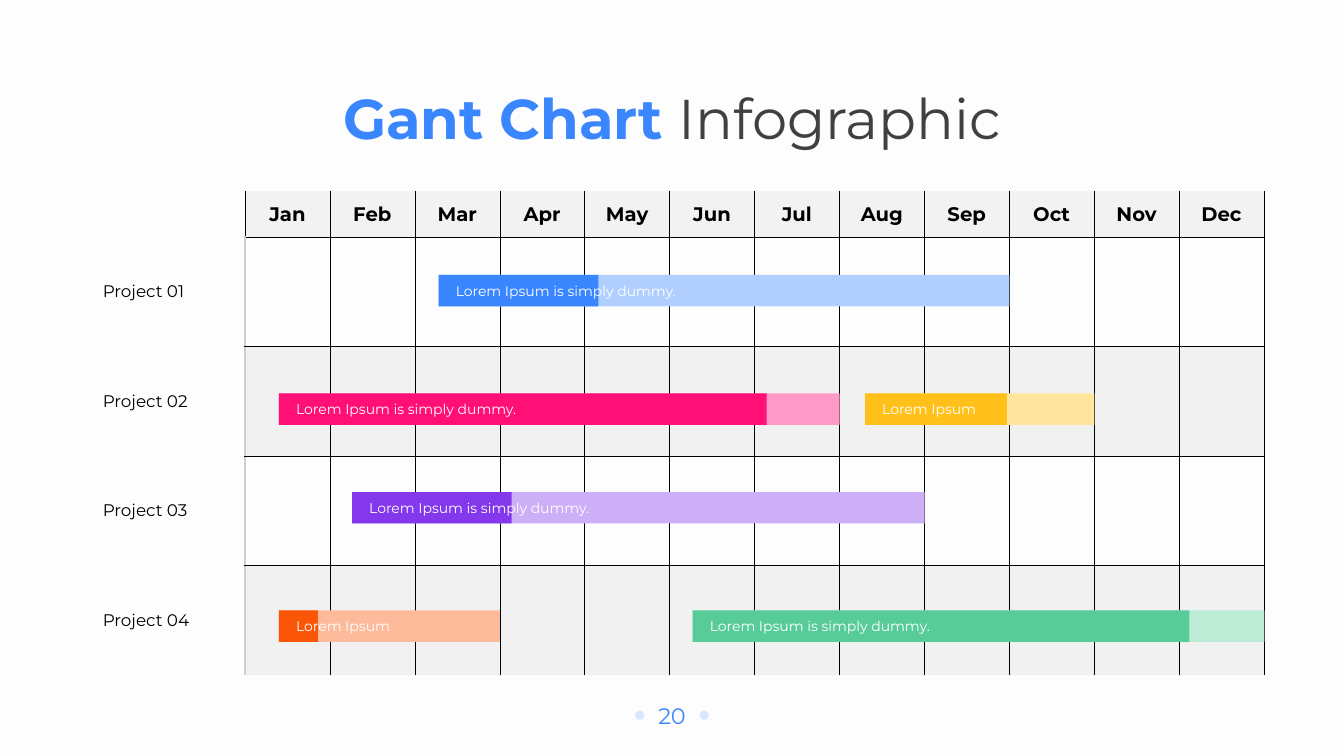
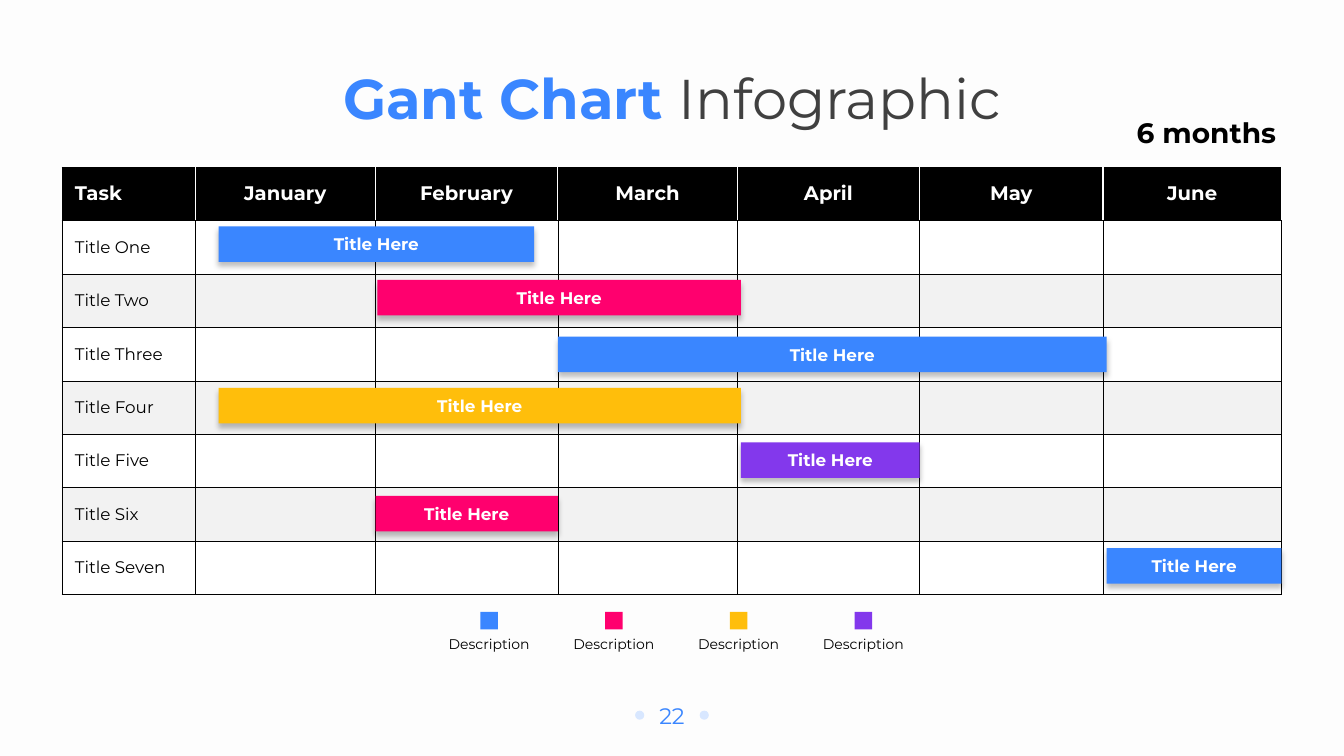
import dataclasses

import lxml.etree
import pptx
import pptx.dml.color
import pptx.enum.shapes
import pptx.enum.text
import pptx.oxml.ns
import pptx.util

qn = pptx.oxml.ns.qn
ALIGN = pptx.enum.text.PP_ALIGN
MIDDLE = pptx.enum.text.MSO_ANCHOR.MIDDLE
RECTANGLE = pptx.enum.shapes.MSO_SHAPE.RECTANGLE
OVAL = pptx.enum.shapes.MSO_SHAPE.OVAL

SLIDE_WIDTH = pptx.util.Inches(13.33)
SLIDE_HEIGHT = pptx.util.Inches(7.5)
PLAIN_TABLE_STYLE = "{2D5ABB26-0587-4C30-8999-92F81FD0307C}"

COLOURS = {
    "page": "FDFDFD", "black": "000000", "white": "FFFFFF", "ink": "404040",
    "band": "F2F2F2", "shade": "E7E6E6", "edge": "D0CECE", "dot": "D8E7FF",
    "blue": "3A86FF", "pink": "FF006E", "yellow": "FFBE0B",
    "purple": "8338EC", "orange": "FB5607", "green": "57CC99",
    "pale blue": "B0CFFF", "pale pink": "FF99C5", "pale yellow": "FFE59D",
    "pale purple": "CDAFF7", "pale orange": "FDBB9C", "pale green": "BCEBD6",
}

# Each style: colour, then font values
STYLES = {
    "title strong": ("blue", {"size": 40, "bold": True}),
    "title light": ("ink", {"size": 40, "bold": False}),
    "page number": ("blue", {"size": 16}),
    "heading": ("black", {"size": 14, "bold": True}),
    "heading on black": ("white", {"size": 14, "bold": True}),
    "row label": ("black", {"size": 12, "bold": False}),
    "progress label": ("white", {"size": 10}),
    "bar label": ("white", {"size": 12, "bold": True}),
    "legend": ("black", {"size": 10}),
    "period": ("black", {"size": 20, "bold": True}),
}

HAIRLINE = ("black", 0.25)
SOFT_EDGE = ("edge", 1)
WHITE_EDGE = ("white", 1)


def across(percent):
    return round(SLIDE_WIDTH * percent / 100)


def down(percent):
    return round(SLIDE_HEIGHT * percent / 100)


def area(left, top, width, height):
    """Turn percentages of the slide into a position and size."""
    return across(left), down(top), across(width), down(height)


@dataclasses.dataclass
class Grid:
    """Columns and rows, in percentages of the slide."""
    left: float
    top: float
    columns: list
    rows: list

    @staticmethod
    def edge(start, sizes, position):
        whole = min(int(position), len(sizes) - 1)
        return start + sum(sizes[:whole]) + sizes[whole] * (position - whole)

    def month(self, position):
        return self.edge(self.left, self.columns, position + 1)

    def task(self, position):
        return self.edge(self.top, self.rows, position + 1)


PROJECT_GRID = Grid(6.15, 25.3, [12.08] + [6.32] * 12, [6] + [14.5] * 4)
TASK_GRID = Grid(4.6, 22.1, [9.92, 13.42, 13.57, 13.35, 13.57, 13.65, 13.27],
                 [7.07] * 8)

# Start, end and finished length in months; top in rows
PROJECT_BARS = [
    (2.28, 9, 1.88, 0.35, "blue", 100, "Lorem Ipsum is simply dummy."),
    (0.4, 3, 0.46, 3.41, "orange", 100, "Lorem Ipsum"),
    (0.4, 7, 5.74, 1.43, "pink", 90, "Lorem Ipsum is simply dummy."),
    (1.26, 8, 1.88, 2.33, "purple", 100, "Lorem Ipsum is simply dummy."),
    (5.27, 12, 5.85, 3.41, "green", 100, "Lorem Ipsum is simply dummy."),
    (7.3, 10, 1.67, 1.43, "yellow", 90, "Lorem Ipsum"),
]
TASK_BARS = [
    (0.13, 1.87, 0.11, "blue"), (1.01, 3.02, 1.11, "pink"),
    (2, 5.02, 2.17, "blue"), (0.13, 3.02, 3.13, "yellow"),
    (3.02, 4, 4.15, "purple"), (1, 2, 5.15, "pink"),
    (5.02, 6, 6.13, "blue"),
]


def rgb(colour):
    return pptx.dml.color.RGBColor.from_string(COLOURS[colour])


def paint(fill, colour, opacity=100):
    fill.solid()
    fill.fore_color.rgb = rgb(colour)
    if opacity < 100:
        tint = fill._xPr.find(f"{qn('a:solidFill')}/{qn('a:srgbClr')}")
        lxml.etree.SubElement(tint, qn("a:alpha"), val=str(opacity * 1000))


def write(frame, runs, align=ALIGN.LEFT):
    """Fill a text frame with one paragraph of (text, style) runs."""
    paragraph = frame.paragraphs[0]
    paragraph.alignment = align
    for text, style in runs:
        run = paragraph.add_run()
        run.text = text
        colour, values = STYLES[style]
        run.font.name = "Montserrat"
        run.font.color.rgb = rgb(colour)
        for name, value in values.items():
            setattr(run.font, name,
                    pptx.util.Pt(value) if name == "size" else value)


def set_margins(target, left, top, right, bottom):
    margins = {"left": left, "top": top, "right": right, "bottom": bottom}
    for side, inches in margins.items():
        setattr(target, f"margin_{side}", pptx.util.Inches(inches))


def add_text(shapes, place, runs, align=ALIGN.CENTER,
             margins=(0.1, 0.05, 0.1, 0.05), wrap=True):
    frame = shapes.add_textbox(*place).text_frame
    frame.word_wrap = wrap
    frame.vertical_anchor = MIDDLE
    set_margins(frame, *margins)
    write(frame, runs, align)


def add_block(shapes, place, colour, opacity=100, outline=RECTANGLE):
    block = shapes.add_shape(outline, *place)
    block.shadow.inherit = False
    block.line.fill.background()
    paint(block.fill, colour, opacity)
    return block


def drop_shadow(block):
    effects = block._element.spPr.find(qn("a:effectLst"))
    shadow = lxml.etree.SubElement(
        effects, qn("a:outerShdw"), blurRad=str(pptx.util.Pt(4)),
        dist=str(pptx.util.Pt(3)), dir="5400000", algn="t", rotWithShape="0")
    tint = lxml.etree.SubElement(shadow, qn("a:srgbClr"),
                                 val=COLOURS["black"])
    lxml.etree.SubElement(tint, qn("a:alpha"), val="25000")


def set_borders(cell, **borders):
    """Draw the sides L, R, T, B given as (colour, points); clear the rest."""
    properties = cell._tc.get_or_add_tcPr()
    for index, side in enumerate("LRTB"):
        line = lxml.etree.Element(qn(f"a:ln{side}"))
        properties.insert(index, line)
        if side in borders:
            colour, points = borders[side]
            line.set("w", str(pptx.util.Pt(points)))
            solid = lxml.etree.SubElement(line, qn("a:solidFill"))
            lxml.etree.SubElement(solid, qn("a:srgbClr"), val=COLOURS[colour])
        else:
            line.set("w", "0")
            lxml.etree.SubElement(line, qn("a:noFill"))


def add_schedule(slide, grid, headings, labels, dress):
    """Add a table; dress(cell, row, column) sets its fills and borders."""
    frame = slide.shapes.add_table(
        len(grid.rows), len(grid.columns),
        *area(grid.left, grid.top, sum(grid.columns), sum(grid.rows)))
    table = frame.table
    table.first_row = table.horz_banding = False
    table._tbl.tblPr.find(qn("a:tableStyleId")).text = PLAIN_TABLE_STYLE
    for column, width in zip(table.columns, grid.columns):
        column.width = across(width)
    for row, height in zip(table.rows, grid.rows):
        row.height = down(height)
    for row in range(len(grid.rows)):
        for column in range(len(grid.columns)):
            cell = table.cell(row, column)
            cell.vertical_anchor = MIDDLE
            heading_style = dress(cell, row, column)
            if row == 0 and headings[column]:
                write(cell.text_frame, [(headings[column], heading_style)],
                      ALIGN.CENTER if column else ALIGN.LEFT)
            elif row and column == 0:
                write(cell.text_frame, [(labels[row - 1], "row label")])


def dress_project_cell(cell, row, column):
    set_margins(cell, 0.05 if column else 0.2, 0.03, 0.05, 0.03)
    side = SOFT_EDGE if row else HAIRLINE
    if column == 0:
        set_borders(cell, R=side)
    else:
        borders = {"L": side if column == 1 else HAIRLINE, "R": HAIRLINE}
        if row:
            borders["T"] = HAIRLINE
        if row < len(PROJECT_GRID.rows) - 1:
            borders["B"] = HAIRLINE
        set_borders(cell, **borders)
    if row == 0 and column:
        paint(cell.fill, "band")
    elif row and row % 2 == 0:
        paint(cell.fill, "shade" if column else "white", 50)
    else:
        cell.fill.background()
    return "heading"


def dress_task_cell(cell, row, column):
    set_margins(cell, 0.13, 0.06, 0.13, 0.06)
    if row:
        set_borders(cell, **dict.fromkeys("LRTB", HAIRLINE))
        paint(cell.fill, "white" if row % 2 else "band")
    else:
        set_borders(cell, L=WHITE_EDGE if column else HAIRLINE,
                    R=WHITE_EDGE, T=HAIRLINE, B=HAIRLINE)
        paint(cell.fill, "black")
    return "heading on black"


def add_progress_bar(slide, start, end, done, row, colour, opacity, label):
    bar = slide.shapes.add_group_shape().shapes
    left, top = PROJECT_GRID.month(start), PROJECT_GRID.task(row)
    finish, reached = (PROJECT_GRID.month(m) for m in (end, start + done))
    whole = area(left, top, finish - left, 4.17)
    add_block(bar, whole, f"pale {colour}")
    add_block(bar, area(left, top, reached - left, 4.17), colour, opacity)
    add_text(bar, whole, [(label, "progress label")], ALIGN.LEFT,
             margins=(0.17, 0.02, 0.05, 0.02))


def add_task_bar(slide, start, end, row, colour):
    left = TASK_GRID.month(start)
    place = area(left, TASK_GRID.task(row), TASK_GRID.month(end) - left, 4.7)
    bar = add_block(slide.shapes, place, colour)
    drop_shadow(bar)
    bar.text_frame.vertical_anchor = MIDDLE
    write(bar.text_frame, [("Title Here", "bar label")], ALIGN.CENTER)


def add_legend(slide):
    for index, colour in enumerate(("blue", "pink", "yellow", "purple")):
        centre = 36.4 + 9.28 * index
        add_text(slide.shapes, area(centre - 3.94, 83.33, 7.88, 3.73),
                 [("Description", "legend")], wrap=False)
        add_block(slide.shapes, area(centre - 0.65, 80.93, 1.3, 2.33), colour)


def add_page(deck, number, title_top):
    """Start a slide with its title and page number."""
    slide = deck.slides.add_slide(deck.slide_layouts[6])
    add_text(slide.shapes, area(47.7, 92.13, 4.6, 4.93),
             [(number, "page number")])
    for offset in (-2.4, 2.4):
        add_block(slide.shapes, area(49.66 + offset, 94, 0.68, 1.2), "dot",
                  outline=OVAL)
    add_text(slide.shapes, area(24.4, title_top, 51.2, 10.27),
             [("Gant Chart ", "title strong"), ("Infographic", "title light")])
    return slide


def build_projects(deck):
    slide = add_page(deck, "20", 10.4)
    months = "Jan Feb Mar Apr May Jun Jul Aug Sep Oct Nov Dec".split()
    projects = [f"Project {number:02}" for number in range(1, 5)]
    add_schedule(slide, PROJECT_GRID, [""] + months, projects,
                 dress_project_cell)
    for bar in PROJECT_BARS:
        add_progress_bar(slide, *bar)


def build_tasks(deck):
    slide = add_page(deck, "22", 7.73)
    headings = "Task January February March April May June".split()
    tasks = [f"Title {number}" for number in
             "One Two Three Four Five Six Seven".split()]
    add_schedule(slide, TASK_GRID, headings, tasks, dress_task_cell)
    add_legend(slide)
    for bar in TASK_BARS:
        add_task_bar(slide, *bar)
    add_text(slide.shapes, area(82.35, 14.93, 12.83, 5.2),
             [("6 months", "period")], ALIGN.RIGHT, margins=(0.03,) * 4)


def main():
    deck = pptx.Presentation()
    deck.slide_width, deck.slide_height = SLIDE_WIDTH, SLIDE_HEIGHT
    paint(deck.slide_master.background.fill, "page")
    build_projects(deck)
    build_tasks(deck)
    deck.save("out.pptx")


if __name__ == "__main__":
    main()
